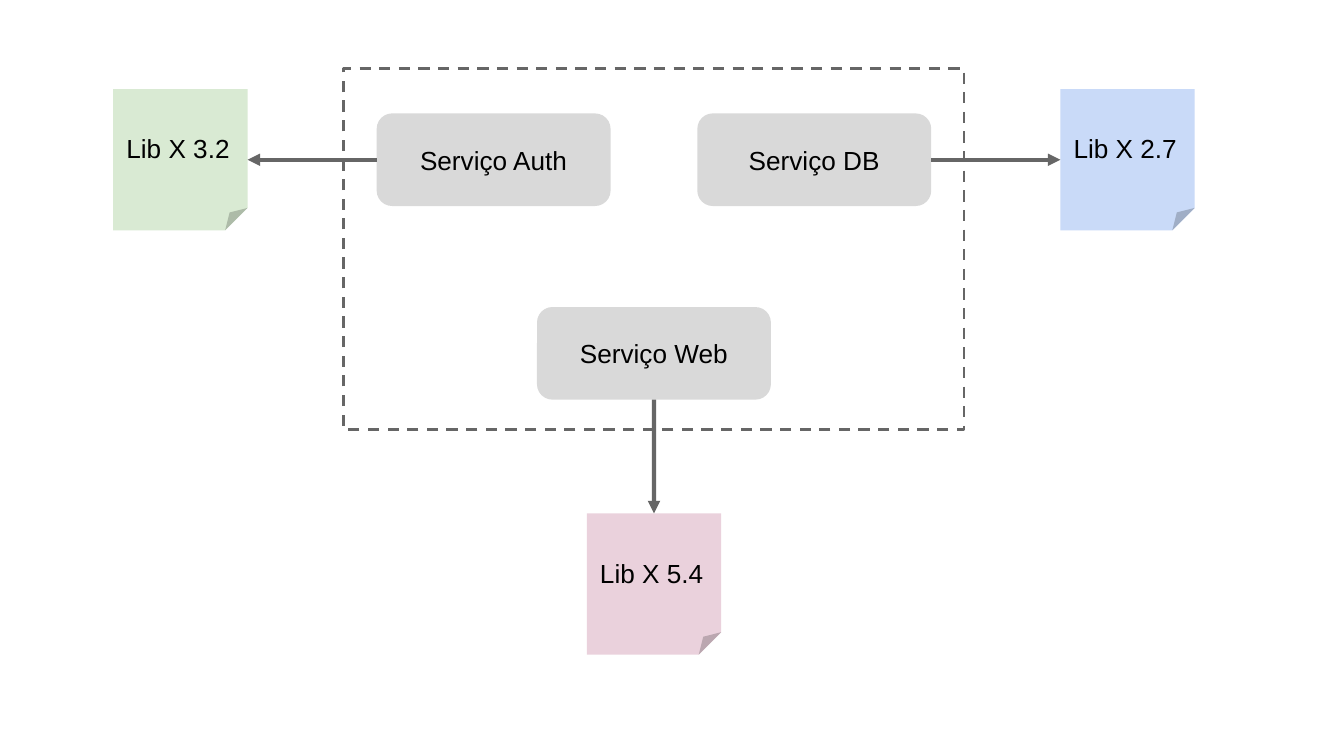
from lxml.etree import SubElement
from pptx import Presentation
from pptx.dml.color import RGBColor
from pptx.enum.dml import MSO_LINE
from pptx.enum.shapes import MSO_CONNECTOR, MSO_SHAPE
from pptx.enum.text import MSO_ANCHOR, PP_ALIGN
from pptx.oxml.ns import qn
from pptx.util import Cm, Pt

TOP, LEFT, BOTTOM, RIGHT = range(4)
AXIS = 12.36  # vertical line of symmetry, in cm
UPPER_ROW = 3.02

# service, its centre, library, library centre, library colour, exit side, entry side
DEPENDENCIES = [
    ("Serviço Auth", (AXIS - 3.03, UPPER_ROW),
     "Lib X 3.2", (AXIS - 8.95, UPPER_ROW), "D9EAD3", LEFT, RIGHT),
    ("Serviço DB", (AXIS + 3.03, UPPER_ROW),
     "Lib X 2.7", (AXIS + 8.95, UPPER_ROW), "C9DAF8", RIGHT, LEFT),
    ("Serviço Web", (AXIS, 6.68),
     "Lib X 5.4", (AXIS, 11.04), "EAD1DC", BOTTOM, TOP),
]
BOUNDARY_CENTRE, BOUNDARY_SIZE = (AXIS, 4.71), (11.72, 6.83)
SERVICE_SIZE = (4.42, 1.75)
LIBRARY_SIZE = (2.54, 2.67)
SERVICE_FILL, LINE_COLOUR, TEXT_COLOUR = "D9D9D9", "666666", "000000"


def colour(value):
    return RGBColor.from_string(value)


def add_centred_shape(page, kind, centre, size):
    """Add a shape of the given size around its centre, both in cm."""
    (x, y), (width, height) = centre, size
    shape = page.shapes.add_shape(
        kind, Cm(x - width / 2), Cm(y - height / 2), Cm(width), Cm(height))
    shape.shadow.inherit = False
    return shape


def add_box(page, kind, centre, size, fill, text, align):
    box = add_centred_shape(page, kind, centre, size)
    box.fill.solid()
    box.fill.fore_color.rgb = colour(fill)
    box.line.fill.background()
    frame = box.text_frame
    frame.word_wrap = True
    frame.vertical_anchor = MSO_ANCHOR.MIDDLE
    frame.margin_left = frame.margin_right = Cm(0.25)
    frame.margin_top = frame.margin_bottom = Cm(0.25)
    frame.text = text
    para = frame.paragraphs[0]
    para.alignment = align
    font = para.runs[0].font
    font.name, font.size = "Arial", Pt(14)
    font.color.rgb = colour(TEXT_COLOUR)
    return box


def add_arrow(page, start, start_side, end, end_side):
    arrow = page.shapes.add_connector(MSO_CONNECTOR.STRAIGHT, 0, 0, 0, 0)
    arrow.begin_connect(start, start_side)
    arrow.end_connect(end, end_side)
    arrow.line.color.rgb = colour(LINE_COLOUR)
    arrow.line.width = Pt(2.25)
    properties = arrow._element.spPr
    SubElement(properties.find(qn("a:ln")), qn("a:tailEnd"),
               type="triangle", w="med", len="med")
    SubElement(properties, qn("a:effectLst"))


def main():
    deck = Presentation()
    deck.slide_width, deck.slide_height = Cm(25.4), Cm(14.29)
    page = deck.slides.add_slide(deck.slide_layouts[6])

    boundary = add_centred_shape(page, MSO_SHAPE.RECTANGLE, BOUNDARY_CENTRE, BOUNDARY_SIZE)
    boundary.fill.background()
    boundary.line.color.rgb = colour(LINE_COLOUR)
    boundary.line.width = Pt(1.5)
    boundary.line.dash_style = MSO_LINE.DASH

    for service, service_at, library, library_at, fill, exit_side, entry_side in DEPENDENCIES:
        service_box = add_box(page, MSO_SHAPE.ROUNDED_RECTANGLE, service_at,
                              SERVICE_SIZE, SERVICE_FILL, service, PP_ALIGN.CENTER)
        library_note = add_box(page, MSO_SHAPE.FOLDED_CORNER, library_at,
                               LIBRARY_SIZE, fill, library, PP_ALIGN.LEFT)
        add_arrow(page, service_box, exit_side, library_note, entry_side)

    deck.save("out.pptx")


if __name__ == "__main__":
    main()
